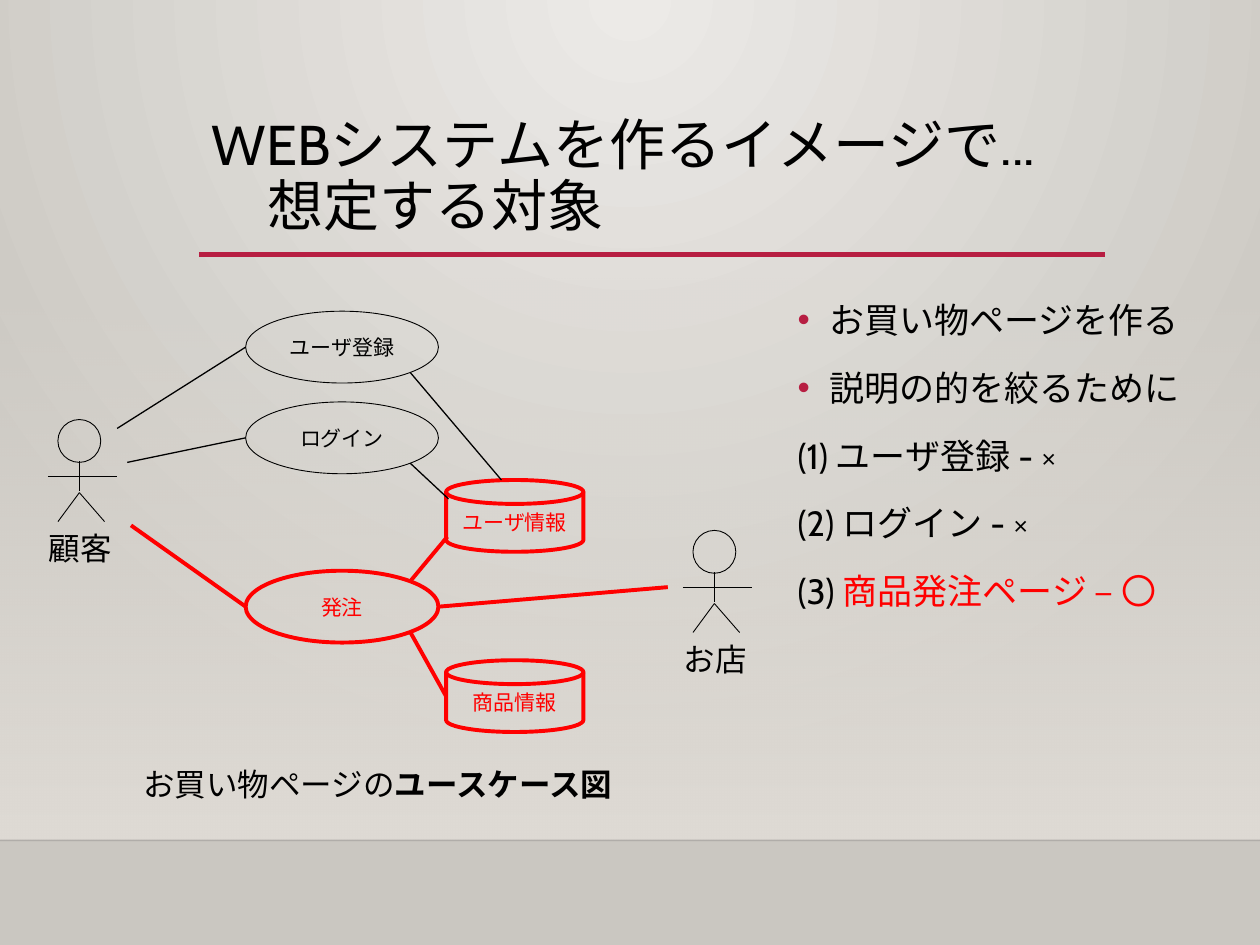
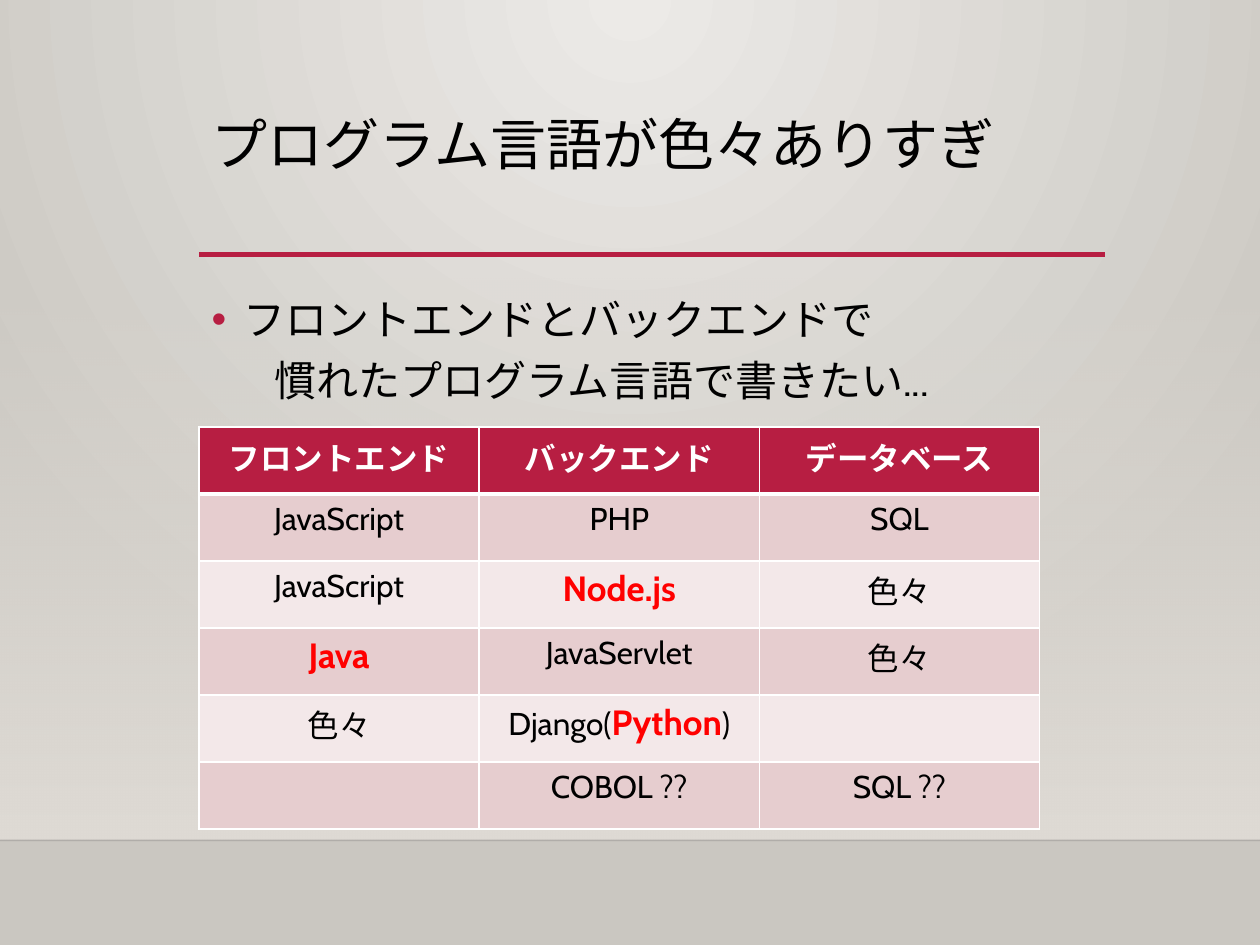
from copy import deepcopy
from dataclasses import dataclass
from math import cos, radians, sin

from lxml import etree
from pptx import Presentation
from pptx import util as u
from pptx.dml.color import RGBColor
from pptx.enum import lang, shapes, text
from pptx.oxml.ns import qn

Point = tuple[float, float]


@dataclass(frozen=True)
class Style:
    size: float
    color: str = "000000"
    bold: bool = False


@dataclass(frozen=True)
class Theme:
    font: str = "Cabin"
    ink: str = "000000"
    accent: str = "B71E42"
    alert: str = "FF0000"
    white: str = "FFFFFF"
    glow: tuple[str, str] = ("ECEAE7", "CAC7C1")
    floor: str = "DFDBD5"
    floor_edge: str = "000001"
    bands: tuple[str, str] = ("E6CDCF", "F3E8E9")
    title: Style = Style(32)
    lead: Style = Style(24)
    item: Style = Style(20)
    item_alert: Style = Style(20, "FF0000")
    label: Style = Style(18)
    label_bold: Style = Style(18, bold=True)
    head: Style = Style(18, "FFFFFF", True)
    cell_alert: Style = Style(20, "FF0000", True)
    node: Style = Style(12)
    node_alert: Style = Style(12, "FF0000")
    hairline: float = 0.5
    link: float = 0.75
    heavy: float = 2.25


THEME = Theme()
# The slide is a grid of 100 columns by 75 rows.
SLIDE_W, SLIDE_H = u.Inches(10), u.Inches(7.5)
COLUMN, ROW = SLIDE_W / 100, SLIDE_H / 75
LEFT, RULE_RIGHT, RULE_Y, FLOOR_Y = 15.8, 87.7, 20.2, 66.7


@dataclass(frozen=True)
class Box:
    x: float
    y: float
    w: float
    h: float

    def emu(self) -> tuple[int, int, int, int]:
        return (round(self.x * COLUMN), round(self.y * ROW),
                round(self.w * COLUMN), round(self.h * ROW))

    def rim(self, degrees: float) -> Point:
        """Point on the inscribed ellipse, clockwise from the right."""
        angle = radians(degrees)
        return (self.x + self.w / 2 * (1 + cos(angle)),
                self.y + self.h / 2 * (1 + sin(angle)))


@dataclass(frozen=True)
class Node:
    label: str
    box: Box
    kind: shapes.MSO_SHAPE
    in_scope: bool


@dataclass(frozen=True)
class Actor:
    name: str
    x: float
    y: float


@dataclass(frozen=True)
class Link:
    start: Point
    end: Point
    in_scope: bool


def use_case(label: str, y: float, in_scope: bool = False) -> Node:
    return Node(label, Box(19.5, y, 15.3, 5.7), shapes.MSO_SHAPE.OVAL, in_scope)


def store(label: str, y: float) -> Node:
    return Node(label, Box(35.4, y, 10.9, 5.7),
                shapes.MSO_SHAPE.FLOWCHART_MAGNETIC_DISK, True)


SIGN_UP, LOG_IN = use_case("ユーザ登録", 24.7), use_case("ログイン", 31.9)
ORDER = use_case("発注", 45.3, True)
USERS, GOODS = store("ユーザ情報", 38.1), store("商品情報", 52.4)
NODES = [SIGN_UP, LOG_IN, ORDER, USERS, GOODS]
ACTORS = [Actor("顧客", 6.3, 33.3), Actor("お店", 56.7, 42.1)]
LINKS = [
    Link((9.3, 34), SIGN_UP.box.rim(180), False),
    Link((10.1, 36.7), LOG_IN.box.rim(180), False),
    Link((10.4, 41.7), ORDER.box.rim(180), True),
    Link(SIGN_UP.box.rim(45), (39.8, 38.1), False),
    Link(LOG_IN.box.rim(45), (35.6, 39.6), False),
    Link(ORDER.box.rim(-45), (35.5, 42.6), True),
    Link(ORDER.box.rim(45), GOODS.box.rim(180), True),
    Link(ORDER.box.rim(0), (53, 46.6), True),
]

BULLETS = ["お買い物ページを作る", "説明の的を絞るために"]
SCOPE = ["(1) ユーザ登録 - ×", "(2) ログイン - ×", "(3) *商品発注ページ – 〇*"]
LANGUAGES = [
    ["フロントエンド", "バックエンド", "データベース"],
    ["JavaScript", "PHP", "SQL"],
    ["JavaScript", "*Node.js*", "色々"],
    ["*Java*", "JavaServlet", "色々"],
    ["色々", "Django(*Python*)", ""],
    ["", "COBOL ??", "SQL ??"],
]


def rgb(color: str) -> RGBColor:
    return RGBColor.from_string(color)


def sub(parent, tag: str, **attributes: str):
    return etree.SubElement(parent, qn(tag), attributes)


def write(paragraph, words: str, plain: Style, marked: Style | None = None) -> None:
    """Fill a paragraph; parts between asterisks take the marked style."""
    for index, part in enumerate(words.split("*")):
        style = marked if index % 2 else plain
        for row, line in enumerate(part.split("\v")):
            if row:
                paragraph.add_line_break()
            if not line:
                continue
            run = paragraph.add_run()
            run.text = line
            run.font.name, run.font.size = THEME.font, u.Pt(style.size)
            run.font.bold, run.font.color.rgb = style.bold, rgb(style.color)
            run.font.language_id = lang.MSO_LANGUAGE_ID.JAPANESE
    for line_break in paragraph._p.findall(qn("a:br")):
        line_break.insert(0, deepcopy(paragraph.runs[0]._r.rPr))


def draw_line(slide, start: Point, end: Point, color: str, weight: float):
    ends = [round(v * unit) for point in (start, end)
            for v, unit in zip(point, (COLUMN, ROW))]
    line = slide.shapes.add_connector(shapes.MSO_CONNECTOR.STRAIGHT, *ends)
    line.line.color.rgb, line.line.width = rgb(color), u.Pt(weight)
    sub(line.element.spPr, "a:effectLst")
    return line


def draw_outline(slide, kind, box: Box, color: str, weight: float):
    shape = slide.shapes.add_shape(kind, *box.emu())
    shape.shadow.inherit = False
    shape.fill.background()
    shape.line.color.rgb, shape.line.width = rgb(color), u.Pt(weight)
    return shape


def draw_label(slide, box: Box, words: str, align) -> None:
    frame = slide.shapes.add_textbox(*box.emu()).text_frame
    frame.word_wrap = True
    frame.paragraphs[0].alignment = align
    write(frame.paragraphs[0], words, THEME.label, THEME.label_bold)


def set_stops(fill, colors: tuple[str, str]) -> None:
    fill.gradient()
    for stop, color in zip(fill.gradient_stops, colors):
        stop.color.rgb = rgb(color)


def decorate(layout, slide) -> None:
    """Give the layout its background, floor band and rules."""
    set_stops(layout.background.fill, THEME.glow)
    glow = layout.element.find(".//" + qn("a:gradFill"))
    glow.remove(glow.find(qn("a:lin")))
    circle = sub(glow, "a:path", path="circle")
    sub(circle, "a:fillToRect", l="43000", t="0", r="43000", b="100000")

    band = slide.shapes.add_shape(shapes.MSO_SHAPE.RECTANGLE,
                                  *Box(0, 22, 100, FLOOR_Y - 22).emu())
    band.shadow.inherit = False
    band.line.fill.background()
    set_stops(band.fill, (THEME.floor, THEME.floor))
    band.fill.gradient_angle = 270
    edge = draw_line(slide, (0, FLOOR_Y), (100, FLOOR_Y), THEME.floor_edge, 1)
    for part, alpha in ((band, "0"), (edge, "20000")):
        sub(part.element.spPr.find(".//" + qn("a:srgbClr")), "a:alpha", val=alpha)
    rule = draw_line(slide, (LEFT, RULE_Y), (RULE_RIGHT, RULE_Y), THEME.accent, 2.5)
    for depth, part in enumerate((band, edge, rule), start=2):
        layout.shapes.element.insert(depth, part.element)


def settle(placeholder, box: Box):
    """Move a placeholder and return its top-anchored text frame."""
    placeholder.left, placeholder.top, placeholder.width, placeholder.height = box.emu()
    frame = placeholder.text_frame
    frame.word_wrap, frame.auto_size = True, text.MSO_AUTO_SIZE.NONE
    frame.vertical_anchor = text.MSO_ANCHOR.TOP
    return frame


def set_title(slide, words: str) -> None:
    heading = settle(slide.shapes.title, Box(LEFT, 8.8, 71.9, 11.5)).paragraphs[0]
    heading.alignment, heading.line_spacing = text.PP_ALIGN.LEFT, 0.9
    write(heading, words, THEME.title)


def set_body(slide, box: Box, bulleted: list[str], plain: list[str], style: Style) -> None:
    frame = settle(slide.placeholders[1], box)
    for index, words in enumerate(bulleted + plain):
        item = frame.add_paragraph() if index else frame.paragraphs[0]
        item.line_spacing, item.space_before = 1.2, u.Pt(10)
        props = item._p.get_or_add_pPr()
        indent = u.Inches(0.25) if index < len(bulleted) else 0
        props.set("marL", str(indent))
        props.set("indent", str(-indent))
        if indent:
            sub(sub(props, "a:buClr"), "a:srgbClr", val=THEME.accent)
            sub(props, "a:buFont", typeface="Arial")
            sub(props, "a:buChar", char="•")
        else:
            sub(props, "a:buNone")
        write(item, words, style, THEME.item_alert)


def draw_actor(slide, actor: Actor) -> None:
    x, y = actor.x, actor.y
    draw_outline(slide, shapes.MSO_SHAPE.OVAL, Box(x - 1.7, y, 3.4, 3.4),
                 THEME.ink, THEME.hairline)
    limbs = [((-2.5, 4.5), (3, 4.5)), ((0, 3.3), (0, 5.7)),
             ((0, 5.8), (-1.7, 8.1)), ((0, 5.8), (2, 8.1))]
    for (x1, y1), (x2, y2) in limbs:
        draw_line(slide, (x + x1, y + y1), (x + x2, y + y2), THEME.ink, THEME.hairline)
    draw_label(slide, Box(x - 4, y + 8.2, 8.1, 4), actor.name, text.PP_ALIGN.CENTER)


def draw_node(slide, node: Node) -> None:
    color, weight, style = ((THEME.alert, THEME.heavy, THEME.node_alert) if node.in_scope
                            else (THEME.ink, THEME.hairline, THEME.node))
    frame = draw_outline(slide, node.kind, node.box, color, weight).text_frame
    frame.margin_left = frame.margin_right = 0
    frame.vertical_anchor = text.MSO_ANCHOR.MIDDLE
    frame.paragraphs[0].alignment = text.PP_ALIGN.CENTER
    write(frame.paragraphs[0], node.label, style)


def set_borders(cell, top: float, bottom: float) -> None:
    props = cell._tc.get_or_add_tcPr()
    sides = {"a:lnL": 1, "a:lnR": 1, "a:lnT": top, "a:lnB": bottom}
    for depth, (side, weight) in enumerate(sides.items()):
        border = sub(props, side, w=str(u.Pt(weight)))
        sub(sub(border, "a:solidFill"), "a:srgbClr", val=THEME.white)
        props.insert(depth, border)


def draw_languages(slide) -> None:
    box = Box(LEFT, 33.9, 66.7, 31.9)
    grid = slide.shapes.add_table(len(LANGUAGES), len(LANGUAGES[0]), *box.emu()).table
    for r, row in enumerate(LANGUAGES):
        for c, words in enumerate(row):
            cell = grid.cell(r, c)
            cell.fill.solid()
            cell.fill.fore_color.rgb = rgb(THEME.bands[(r - 1) % 2] if r else THEME.accent)
            set_borders(cell, 3 if r == 1 else 1, 1 if r else 3)
            entry = cell.text_frame.paragraphs[0]
            entry.alignment = text.PP_ALIGN.CENTER
            write(entry, words, THEME.label if r else THEME.head, THEME.cell_alert)


def main() -> None:
    deck = Presentation()
    deck.slide_width, deck.slide_height = SLIDE_W, SLIDE_H
    layout = deck.slide_layouts[1]
    target, languages = (deck.slides.add_slide(layout) for _ in range(2))
    decorate(layout, target)

    set_title(target, "WEBシステムを作るイメージで...\v\u3000想定する対象".replace("\u3000", "　"))
    set_body(target, Box(62.3, 22.5, 36.4, 37.7), BULLETS, SCOPE, THEME.item)
    for actor in ACTORS:
        draw_actor(target, actor)
    for node in NODES:
        draw_node(target, node)
    for link in LINKS:
        draw_line(target, link.start, link.end,
                  THEME.alert if link.in_scope else THEME.ink,
                  THEME.heavy if link.in_scope else THEME.link)
    draw_label(target, Box(10.4, 60.2, 41.5, 4), "お買い物ページの*ユースケース図*",
               text.PP_ALIGN.LEFT)

    set_title(languages, "プログラム言語が色々ありすぎ")
    set_body(languages, Box(LEFT, 22, 71.9, 44.1),
             ["フロントエンドとバックエンドで\v\t慣れたプログラム言語で書きたい..."], [], THEME.lead)
    draw_languages(languages)
    deck.save("out.pptx")


if __name__ == "__main__":
    main()
